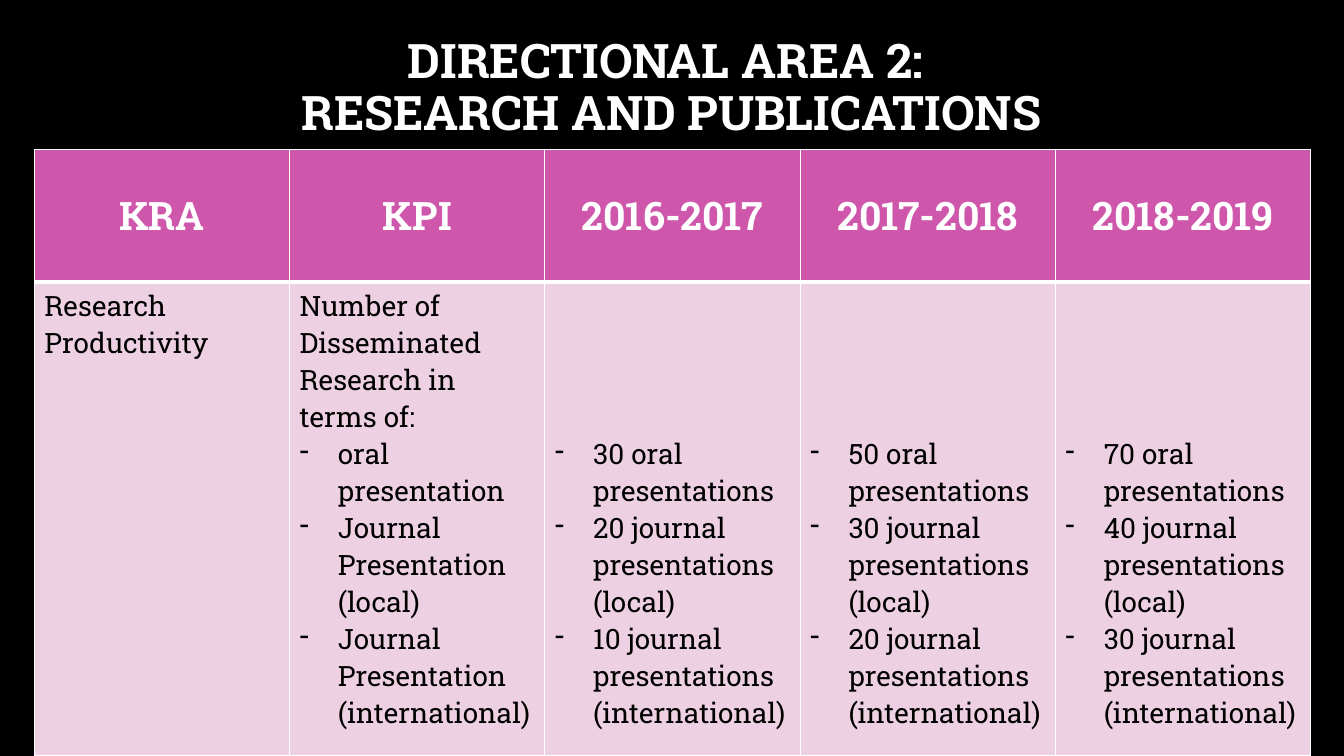
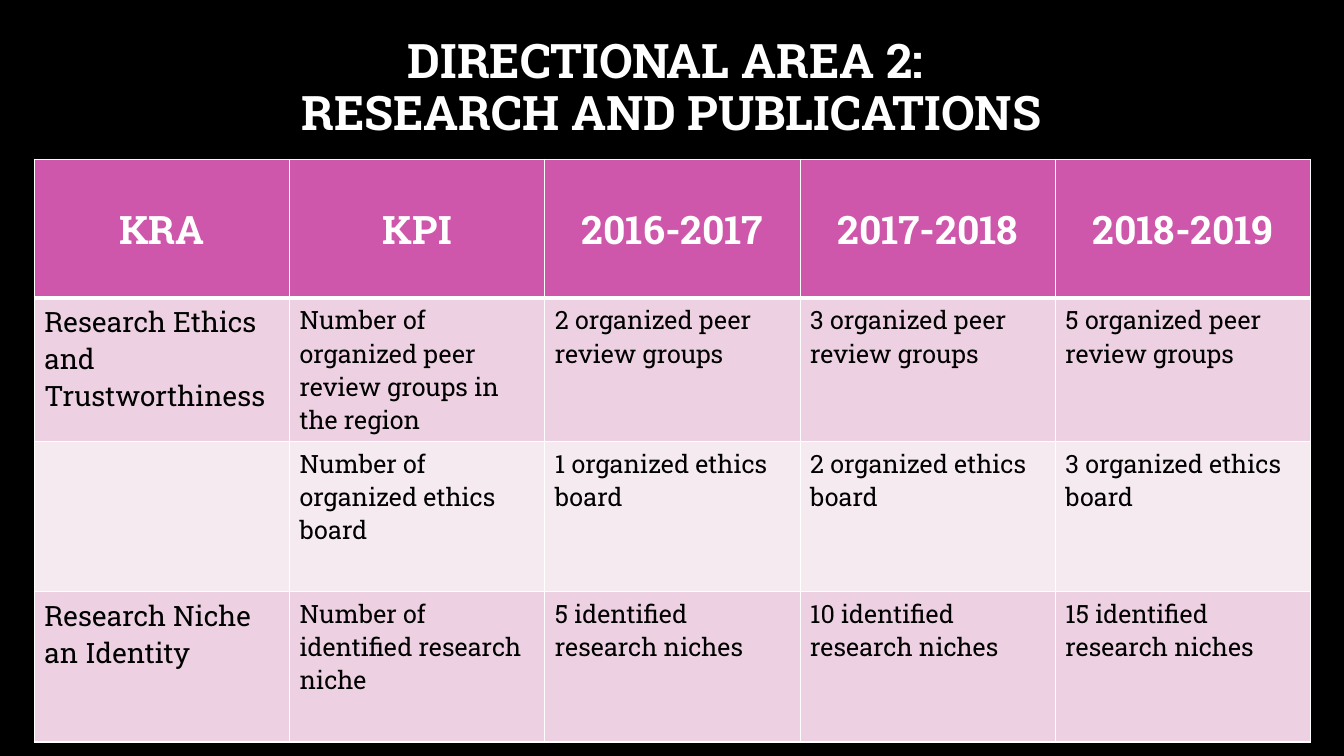
import dataclasses

import pptx
import pptx.dml.color
import pptx.enum.text
import pptx.oxml
import pptx.oxml.ns
import pptx.util

Inches = pptx.util.Inches
Pt = pptx.util.Pt
RGBColor = pptx.dml.color.RGBColor
Anchor = pptx.enum.text.MSO_ANCHOR
Align = pptx.enum.text.PP_ALIGN


@dataclasses.dataclass(frozen=True)
class Theme:
    font: str = "Roboto Slab"
    background: RGBColor = RGBColor.from_string("000000")
    light: RGBColor = RGBColor.from_string("FFFFFF")
    dark: RGBColor = RGBColor.from_string("000000")
    header: RGBColor = RGBColor.from_string("CE57AB")
    bands: tuple = (RGBColor.from_string("EDD1E2"), RGBColor.from_string("F6EAF1"))
    title_size: int = 34
    header_size: int = 28
    body_size: int = 20
    small_size: int = 18
    border: int = 1
    header_border: int = 3


@dataclasses.dataclass(frozen=True)
class Entry:
    text: str = ""
    bullets: tuple = ()
    size: int = Theme.body_size
    top: float = 0.05


THEME = Theme()
TITLE_LINES = ("DIRECTIONAL AREA 2: ", "RESEARCH AND PUBLICATIONS")
HEADINGS = ("KRA", "KPI", "2016-2017", "2017-2018", "2018-2019")
TABLE_LEFT = 0.34
TABLE_WIDTH = 12.66
BULLET_INDENT = 0.38
BULLETS_TOP = 1.52


def add_run(paragraph, text, size, color, bold=False):
    run = paragraph.add_run()
    run.text = text
    run.font.name = THEME.font
    run.font.size = Pt(size)
    run.font.bold = bold
    run.font.color.rgb = color


def add_title(slide):
    title = slide.shapes.title
    title.left, title.top = Inches(1), Inches(0.16)
    title.width, title.height = Inches(11.32), Inches(1.45)
    frame = title.text_frame
    frame.word_wrap = True
    frame.auto_size = pptx.enum.text.MSO_AUTO_SIZE.NONE
    frame.vertical_anchor = Anchor.MIDDLE
    paragraph = frame.paragraphs[0]
    paragraph.alignment = Align.CENTER
    paragraph.line_spacing = 0.9
    for index, line in enumerate(TITLE_LINES):
        if index:
            paragraph.add_line_break()
        add_run(paragraph, line, THEME.title_size, THEME.light, bold=True)


def set_borders(cell, top, bottom):
    properties = cell._tc.get_or_add_tcPr()
    widths = {"L": THEME.border, "R": THEME.border, "T": top, "B": bottom}
    for side, width in widths.items():
        properties.append(pptx.oxml.parse_xml(
            f'<a:ln{side} {pptx.oxml.ns.nsdecls("a")} w="{Pt(width)}">'
            f'<a:solidFill><a:srgbClr val="{THEME.light}"/></a:solidFill>'
            f'</a:ln{side}>'
        ))


def style_cell(cell, color, top, bottom):
    set_borders(cell, top, bottom)
    cell.fill.solid()
    cell.fill.fore_color.rgb = color


def set_dash(paragraph):
    properties = paragraph._p.get_or_add_pPr()
    properties.set("marL", str(Inches(BULLET_INDENT)))
    properties.set("indent", str(-Inches(BULLET_INDENT)))
    properties.append(pptx.oxml.parse_xml(
        f'<a:buChar {pptx.oxml.ns.nsdecls("a")} char="-"/>'
    ))


def fill_header(cell, text):
    style_cell(cell, THEME.header, THEME.border, THEME.header_border)
    cell.vertical_anchor = Anchor.MIDDLE
    paragraph = cell.text_frame.paragraphs[0]
    paragraph.alignment = Align.CENTER
    add_run(paragraph, text, THEME.header_size, THEME.light, bold=True)


def fill_entry(cell, entry):
    cell.margin_top = Inches(entry.top)
    lines = [(entry.text, False)] if entry.text else []
    lines += [(bullet, True) for bullet in entry.bullets]
    frame = cell.text_frame
    for index, (text, dashed) in enumerate(lines):
        paragraph = frame.add_paragraph() if index else frame.paragraphs[0]
        if dashed:
            set_dash(paragraph)
        add_run(paragraph, text, entry.size, THEME.dark)


def add_plan_table(slide, top, heights, rows):
    table = slide.shapes.add_table(
        len(heights), len(HEADINGS), Inches(TABLE_LEFT), Inches(top),
        Inches(TABLE_WIDTH), Inches(sum(heights)),
    ).table
    for column in table.columns:
        column.width = Inches(TABLE_WIDTH / len(HEADINGS))
    for row, height in zip(table.rows, heights):
        row.height = Inches(height)
    for column, heading in enumerate(HEADINGS):
        fill_header(table.cell(0, column), heading)
    for number, entries in enumerate(rows, start=1):
        band = THEME.bands[(number - 1) % len(THEME.bands)]
        upper = THEME.header_border if number == 1 else THEME.border
        for column, entry in enumerate(entries):
            cell = table.cell(number, column)
            style_cell(cell, band, upper, THEME.border)
            fill_entry(cell, entry)


def add_plan_slide(presentation, top, heights, rows):
    slide = presentation.slides.add_slide(presentation.slide_layouts[5])
    add_title(slide)
    add_plan_table(slide, top, heights, rows)


def presentation_targets(oral, local, international):
    return Entry(bullets=(
        f"{oral} oral presentations",
        f"{local} journal presentations (local)",
        f"{international} journal presentations (international)",
    ), top=BULLETS_TOP)


def target_row(area, indicator, counts, unit):
    texts = [indicator] + [f"{count} {unit}" for count in counts]
    return [Entry(area)] + [Entry(text, size=THEME.small_size) for text in texts]


def main():
    presentation = pptx.Presentation()
    presentation.slide_width = Inches(13.33)
    presentation.slide_height = Inches(7.5)
    background = presentation.slide_master.background.fill
    background.solid()
    background.fore_color.rgb = THEME.background

    productivity = [
        Entry("Research Productivity"),
        Entry("Number of Disseminated Research in terms of:", (
            "oral presentation",
            "Journal Presentation (local)",
            "Journal Presentation (international)",
        )),
        presentation_targets(30, 20, 10),
        presentation_targets(50, 30, 20),
        presentation_targets(70, 40, 30),
    ]
    add_plan_slide(presentation, 1.48, (1.32, 4.7), [productivity])

    add_plan_slide(presentation, 1.58, (1.38, 1.42, 1.49, 1.49), [
        target_row("Research Ethics and Trustworthiness",
                   "Number of organized peer review groups in the region",
                   (2, 3, 5), "organized peer review groups"),
        target_row("", "Number of organized ethics board",
                   (1, 2, 3), "organized ethics board"),
        target_row("Research Niche an Identity",
                   "Number of identified research niche",
                   (5, 10, 15), "identified research niches"),
    ])
    presentation.save("out.pptx")


if __name__ == "__main__":
    main()
